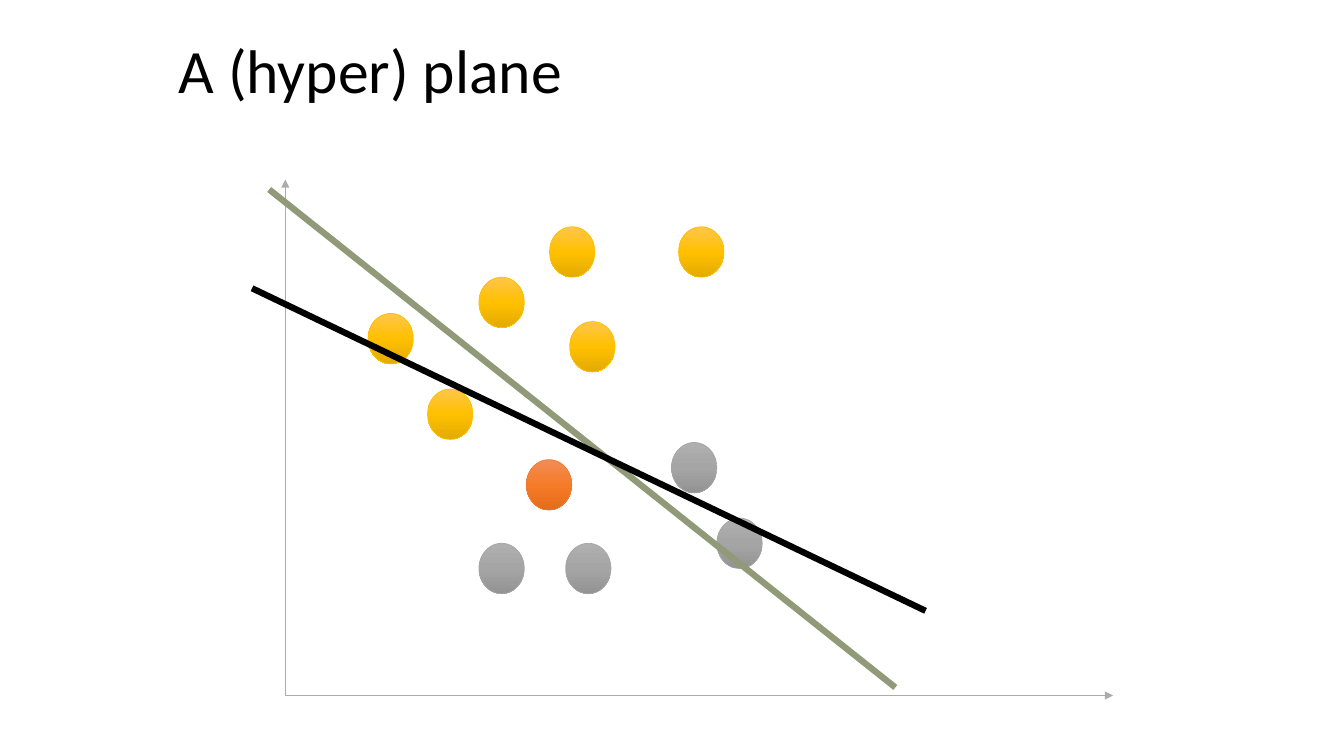
from copy import deepcopy

from lxml.etree import SubElement
from pptx import Presentation
from pptx.dml.color import RGBColor
from pptx.enum.shapes import MSO_CONNECTOR, MSO_SHAPE
from pptx.enum.text import MSO_ANCHOR, MSO_AUTO_SIZE, PP_ALIGN
from pptx.oxml.ns import qn
from pptx.util import Inches, Pt

COLOURS = {"text": "000000", "axis": "AFABAB", "olive": "919978", "black": "000000"}
GRADIENTS = {
    "gold": ("FFC64B", "FFC000", "E3AB00"),
    "grey": ("AFAFAF", "A5A5A5", "939393"),
    "orange": ("F18C57", "F67B28", "E56C19"),
}
OUTLINES = {"gold": "FFC000", "grey": "A5A5A5", "orange": "ED7D31"}
DOT_SIZE = (0.45, 0.5)
DOTS = [
    ("gold", 5.45, 2.25),
    ("gold", 6.73, 2.25),
    ("grey", 7.11, 5.14),
    ("gold", 4.24, 3.86),
    ("orange", 5.22, 4.56),
    ("grey", 4.75, 5.39),
    ("gold", 5.65, 3.19),
    ("gold", 3.65, 3.11),
    ("gold", 4.75, 2.75),
    ("grey", 5.61, 5.39),
    ("grey", 6.66, 4.39),
]
ORIGIN = (2.83, 6.9)
AXIS_ENDS = [(2.83, 1.78), (11.04, 6.9)]
PLANES = [
    ("olive", (8.88, 6.82), (2.67, 1.88)),
    ("black", (9.18, 6.06), (2.5, 2.86)),
]


def apply_format(target, values):
    """Set each named attribute of the target."""
    for name, value in values.items():
        setattr(target, name, value)


def set_title(page, text):
    """Place and format the title placeholder."""
    title = page.shapes.title
    apply_format(title, {"left": Inches(1.67), "top": Inches(0.23),
                         "width": Inches(9.75), "height": Inches(1)})
    frame = title.text_frame
    frame.text = text
    apply_format(frame, {"word_wrap": True, "auto_size": MSO_AUTO_SIZE.NONE,
                         "vertical_anchor": MSO_ANCHOR.MIDDLE})
    para = frame.paragraphs[0]
    apply_format(para, {"alignment": PP_ALIGN.LEFT, "line_spacing": 0.9})
    apply_format(para.font, {"name": "Calibri", "size": Pt(44)})
    para.font.color.rgb = RGBColor.from_string(COLOURS["text"])


def add_line(page, start, end, colour, width, arrow=False):
    """Draw a straight line, with an arrowhead at its end if wanted."""
    points = [Inches(value) for value in (*start, *end)]
    line = page.shapes.add_connector(MSO_CONNECTOR.STRAIGHT, *points)
    line.line.color.rgb = RGBColor.from_string(COLOURS[colour])
    line.line.width = Pt(width)
    if arrow:
        SubElement(line.line._get_or_add_ln(), qn("a:tailEnd"), type="triangle")
    SubElement(line._element.spPr, qn("a:effectLst"))


def add_dot(page, kind, left, top):
    """Draw a data point with a vertical three-stop gradient."""
    place = [Inches(value) for value in (left, top, *DOT_SIZE)]
    dot = page.shapes.add_shape(MSO_SHAPE.OVAL, *place)
    dot.shadow.inherit = False
    dot.fill.gradient()
    dot.fill.gradient_angle = 270
    stop_list = next(dot._element.spPr.iter(qn("a:gsLst")))
    stop_list.append(deepcopy(stop_list[-1]))
    for index, stop in enumerate(dot.fill.gradient_stops):
        stop.position = index / 2
        stop.color.rgb = RGBColor.from_string(GRADIENTS[kind][index])
    dot.line.color.rgb = RGBColor.from_string(OUTLINES[kind])
    dot.line.width = Pt(0.5)


def main():
    """Build the slide and save the deck."""
    deck = Presentation()
    apply_format(deck, {"slide_width": Inches(13.33), "slide_height": Inches(7.5)})
    page = deck.slides.add_slide(deck.slide_layouts[5])
    set_title(page, "A (hyper) plane")
    for end in AXIS_ENDS:
        add_line(page, ORIGIN, end, "axis", 1, arrow=True)
    for kind, left, top in DOTS:
        add_dot(page, kind, left, top)
    for colour, start, end in PLANES:
        add_line(page, start, end, colour, 4.5)
    deck.save("out.pptx")


if __name__ == "__main__":
    main()
